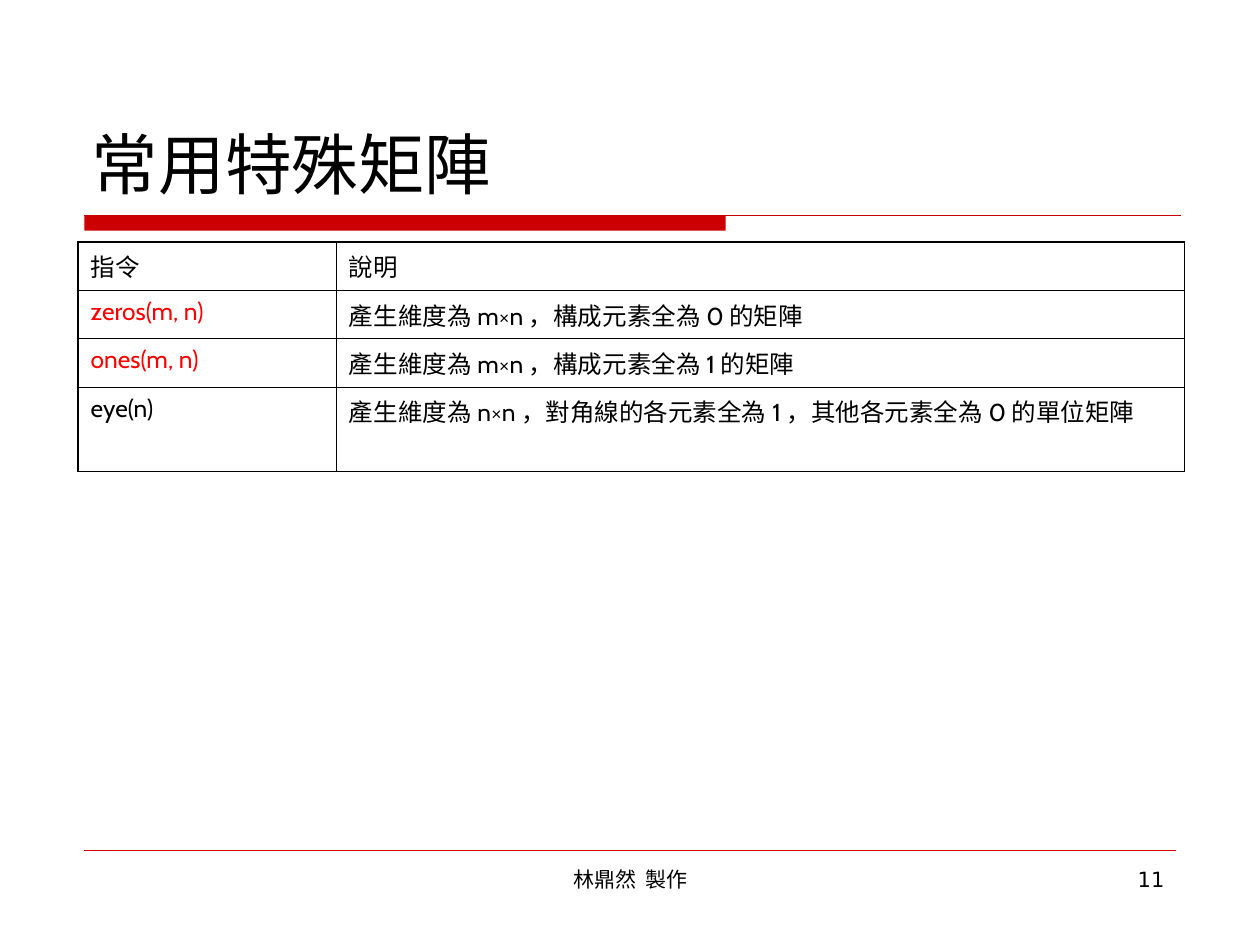
from dataclasses import dataclass

from pptx import Presentation
from pptx.dml.color import RGBColor
from pptx.enum import shapes, text
from pptx.oxml.ns import qn
from pptx.util import Inches, Pt
from lxml import etree


@dataclass(frozen=True)
class Theme:
    ink: RGBColor = RGBColor(0, 0, 0)
    accent: RGBColor = RGBColor(0xCC, 0, 0)
    command: RGBColor = RGBColor(0xFF, 0, 0)
    heading_font: str = "DejaVu Sans"
    latin_font: str = "Cabin"
    cjk_font: str = "Noto Sans CJK SC"
    title_size: Pt = Pt(38)
    table_size: Pt = Pt(14)
    footer_size: Pt = Pt(12)
    outer_border: Pt = Pt(1.08)
    inner_border: Pt = Pt(0.45)


THEME = Theme()

# Each cell is a list of pieces, alternating Chinese and Latin where mixed
ROWS = [
    (["指令"], ["說明"]),
    (["zeros(m, n)"], ["產生維度為 ", "m×n ", "，構成元素全為 ", "0 ", "的矩陣"]),
    (["ones(m, n)"], ["產生維度為 ", "m×n ", "，構成元素全為 ", "1 ", "的矩陣"]),
    (["eye(n)"], ["產生維度為 ", "n×n ", "，對角線的各元素全為 ", "1 ",
                  "，其他各元素全為 ", "0 ", "的單位矩陣"]),
]
RED_ROWS = (1, 2)
COLUMN_WIDTHS = (2.05, 6.73)
ROW_HEIGHTS = (0.34, 0.34, 0.34, 0.57)


def style_font(font, name, size, color):
    font.name, font.size = name, size
    font.color.rgb = color


def set_east_asian(run):
    """Draw the Chinese characters of a run in the CJK font."""
    props = run.font._element
    ea = etree.SubElement(props, qn("a:ea"))
    ea.set("typeface", THEME.cjk_font)


def add_title(slide, wording):
    title = slide.shapes.title
    title.left, title.top = Inches(0.63), Inches(0.33)
    title.width, title.height = Inches(8.75), Inches(1.33)
    frame = title.text_frame
    frame.text = wording
    frame.vertical_anchor = text.MSO_ANCHOR.BOTTOM
    paragraph = frame.paragraphs[0]
    paragraph.alignment = text.PP_ALIGN.LEFT
    style_font(paragraph.font, THEME.heading_font, THEME.title_size, THEME.ink)
    set_east_asian(paragraph.runs[0])


def add_rule(slide, left, right, y, weight):
    rule = slide.shapes.add_connector(
        shapes.MSO_CONNECTOR.STRAIGHT, Inches(left), Inches(y), Inches(right), Inches(y))
    rule.line.color.rgb = THEME.accent
    rule.line.width = Pt(weight)
    etree.SubElement(rule._element.spPr, qn("a:effectLst"))


def add_title_bar(slide):
    bar = slide.shapes.add_shape(
        shapes.MSO_SHAPE.RECTANGLE, Inches(0.67), Inches(1.71), Inches(5.09), Inches(0.12))
    bar.shadow.inherit = False
    bar.fill.solid()
    bar.fill.fore_color.rgb = THEME.accent
    bar.line.fill.background()


def set_borders(cell, outer_sides):
    props = cell._tc.get_or_add_tcPr()
    for index, side in enumerate(("lnL", "lnR", "lnT", "lnB")):
        width = THEME.outer_border if side in outer_sides else THEME.inner_border
        border = etree.Element(qn(f"a:{side}"), w=str(int(width)))
        fill = etree.SubElement(border, qn("a:solidFill"))
        etree.SubElement(fill, qn("a:srgbClr"), val=str(THEME.ink))
        props.insert(index, border)


def fill_cell(cell, pieces, color):
    cell.fill.background()
    paragraph = cell.text_frame.paragraphs[0]
    paragraph.space_before = Pt(3.5)
    style_font(paragraph.font, THEME.latin_font, THEME.table_size, color)
    for index, piece in enumerate(pieces):
        run = paragraph.add_run()
        run.text = piece
        if len(pieces) > 1 and index % 2 == 0:
            run.font.name = THEME.cjk_font
        set_east_asian(run)


def add_command_table(slide):
    table = slide.shapes.add_table(
        len(ROWS), len(COLUMN_WIDTHS), Inches(0.62), Inches(1.92),
        Inches(sum(COLUMN_WIDTHS)), Inches(sum(ROW_HEIGHTS))).table
    table.first_row = table.horz_banding = False
    for column, width in zip(table.columns, COLUMN_WIDTHS):
        column.width = Inches(width)
    for r, (row, height) in enumerate(zip(ROWS, ROW_HEIGHTS)):
        table.rows[r].height = Inches(height)
        for c, pieces in enumerate(row):
            is_command = c == 0 and r in RED_ROWS
            cell = table.cell(r, c)
            fill_cell(cell, pieces, THEME.command if is_command else THEME.ink)
            outer = ["lnL" if c == 0 else "lnR"]
            if r == 0:
                outer.append("lnT")
            set_borders(cell, outer)


def add_footer(slide, wording, left, width, alignment):
    box = slide.shapes.add_textbox(Inches(left), Inches(6.83), Inches(width), Inches(0.52))
    box.text_frame.word_wrap = True
    box.text_frame.text = wording
    paragraph = box.text_frame.paragraphs[0]
    paragraph.alignment = alignment
    style_font(paragraph.font, THEME.heading_font, THEME.footer_size, THEME.ink)
    set_east_asian(paragraph.runs[0])


def main():
    deck = Presentation()
    deck.slide_width, deck.slide_height = Inches(10), Inches(7.5)
    slide = deck.slides.add_slide(deck.slide_layouts[5])

    # Heading with its red bar and rule
    add_title_bar(slide)
    add_rule(slide, 0.67, 9.37, 1.71, 0.75)
    add_title(slide, "常用特殊矩陣")

    # Commands and their meaning
    add_command_table(slide)

    # Footer
    add_rule(slide, 0.67, 9.33, 6.75, 0.25)
    add_footer(slide, "林鼎然  製作", 3.42, 3.17, text.PP_ALIGN.CENTER)
    add_footer(slide, "11", 7.17, 2.17, text.PP_ALIGN.RIGHT)

    deck.save("out.pptx")


if __name__ == "__main__":
    main()
